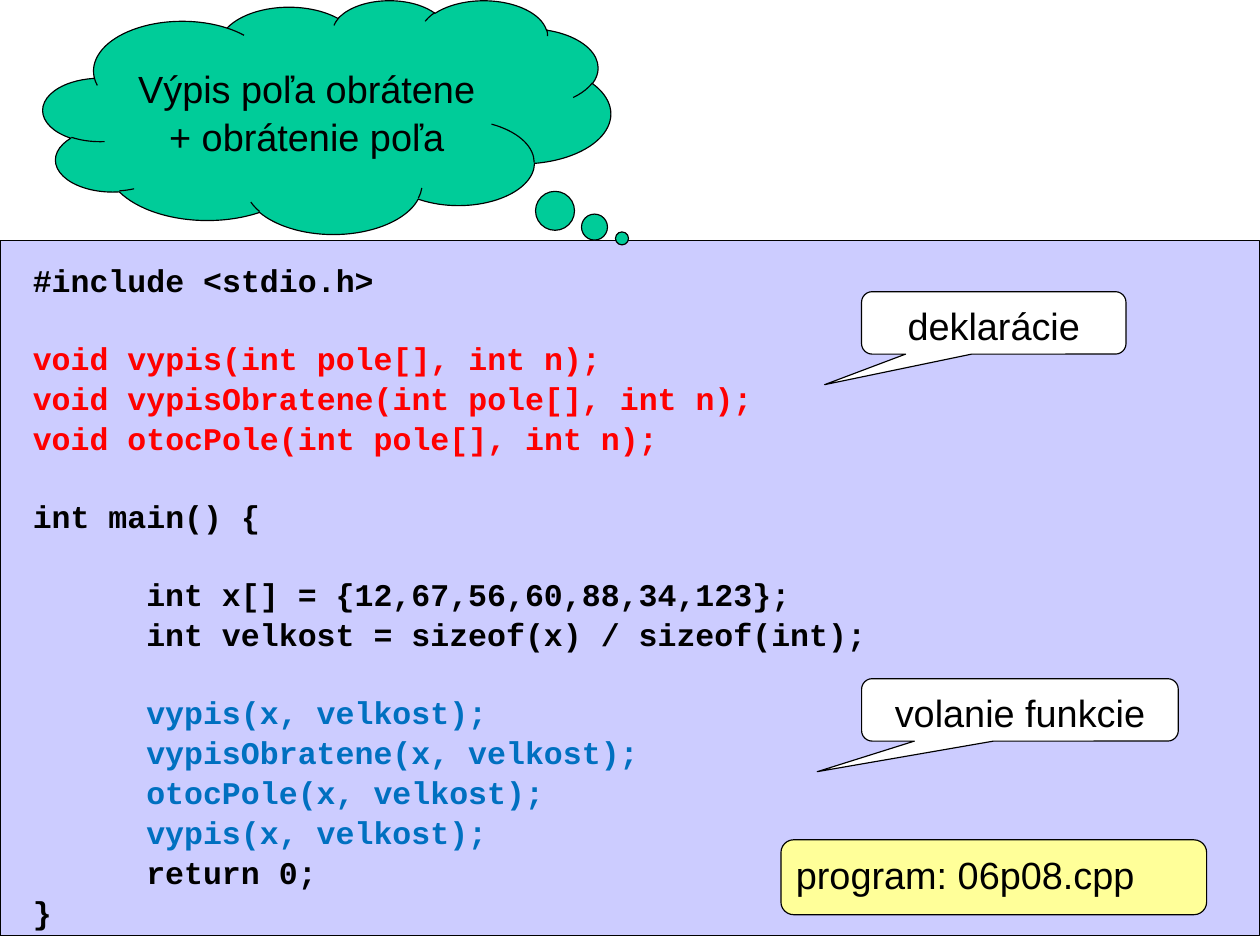
from lxml.etree import SubElement
from pptx import Presentation
from pptx.dml.color import RGBColor
from pptx.enum.shapes import MSO_SHAPE as Shape
from pptx.enum.text import MSO_ANCHOR as Anchor, PP_ALIGN as Align
from pptx.oxml.ns import qn
from pptx.util import Emu, Pt

EMU_PER_PX = 9144
BLACK = RGBColor(0x00, 0x00, 0x00)
WHITE = RGBColor(0xFF, 0xFF, 0xFF)
RED = RGBColor(0xFF, 0x00, 0x00)
BLUE = RGBColor(0x00, 0x70, 0xC0)
LAVENDER = RGBColor(0xCC, 0xCC, 0xFF)
YELLOW = RGBColor(0xFF, 0xFF, 0x99)
GREEN = RGBColor(0x00, 0xCC, 0x99)

LINE_SPACING = 1.06
BLANK_LINE = 24
TAB_STOP = 100

CODE_BLOCKS = [
    (BLACK, 0, ["#include <stdio.h>"]),
    (RED, BLANK_LINE, [
        "void vypis(int pole[], int n);",
        "void vypisObratene(int pole[], int n);",
        "void otocPole(int pole[], int n);",
    ]),
    (BLACK, BLANK_LINE, ["int main() {"]),
    (BLACK, BLANK_LINE, [
        "\tint x[] = {12,67,56,60,88,34,123};",
        "\tint velkost = sizeof(x) / sizeof(int);",
    ]),
    (BLUE, BLANK_LINE, [
        "\tvypis(x, velkost);",
        "\tvypisObratene(x, velkost);",
        "\totocPole(x, velkost);",
        "\tvypis(x, velkost);",
    ]),
    (BLACK, 0, ["   \treturn 0;", "}"]),
]


def px(value):
    return Emu(value * EMU_PER_PX)


def write_text(paragraph, text, font="Arial", size=24, color=BLACK,
               bold=False, align=Align.LEFT, space_before=0):
    paragraph.alignment = align
    paragraph.line_spacing = LINE_SPACING
    paragraph.space_before = Pt(space_before)
    run = paragraph.add_run()
    run.text = text
    run.font.name = font
    run.font.size = Pt(size)
    run.font.bold = bold
    run.font.color.rgb = color


def add_tab_stop(paragraph, position):
    tab_list = SubElement(paragraph._p.get_or_add_pPr(), qn("a:tabLst"))
    SubElement(tab_list, qn("a:tab"), pos=str(px(position)), algn="l")


def add_panel(slide, kind, box, fill, adjustments=(), text="",
              anchor=Anchor.TOP, align=Align.CENTER):
    shape = slide.shapes.add_shape(kind, *map(px, box))
    shape.shadow.inherit = False
    shape.fill.solid()
    shape.fill.fore_color.rgb = fill
    shape.line.color.rgb = BLACK
    shape.line.width = Pt(0.75)
    for index, value in enumerate(adjustments):
        shape.adjustments[index] = value
    if text:
        shape.text_frame.vertical_anchor = anchor
        write_text(shape.text_frame.paragraphs[0], text, align=align)


def add_callout(slide, box, text):
    add_panel(slide, Shape.ROUNDED_RECTANGULAR_CALLOUT, box, WHITE,
              (-0.64, 0.99, 0.17), text)


def add_code(slide, box):
    frame = slide.shapes.add_textbox(*map(px, box)).text_frame
    frame.word_wrap = False
    paragraph = frame.paragraphs[0]
    for color, gap, lines in CODE_BLOCKS:
        for number, line in enumerate(lines):
            if paragraph.runs:
                paragraph = frame.add_paragraph()
            add_tab_stop(paragraph, TAB_STOP)
            write_text(paragraph, line, font="Courier New", size=20,
                       color=color, bold=True,
                       space_before=0 if number else gap)


def main():
    presentation = Presentation()
    presentation.slide_width = px(1110)
    presentation.slide_height = px(830)
    slide = presentation.slides.add_slide(presentation.slide_layouts[6])
    add_panel(slide, Shape.RECTANGLE, (0, 212, 1110, 612), LAVENDER)
    add_code(slide, (19, 223, 761, 582))
    add_panel(slide, Shape.ROUNDED_RECTANGLE, (688, 740, 375, 66), YELLOW,
              (0.17,), "program: 06p08.cpp", align=Align.LEFT)
    add_panel(slide, Shape.CLOUD_CALLOUT, (38, 0, 500, 206), GREEN,
              (0.52, 0.52), "Výpis poľa obrátene + obrátenie poľa",
              anchor=Anchor.MIDDLE)
    add_callout(slide, (759, 257, 233, 55), "deklarácie")
    add_callout(slide, (759, 598, 279, 55), "volanie funkcie")
    presentation.save("out.pptx")


if __name__ == "__main__":
    main()
